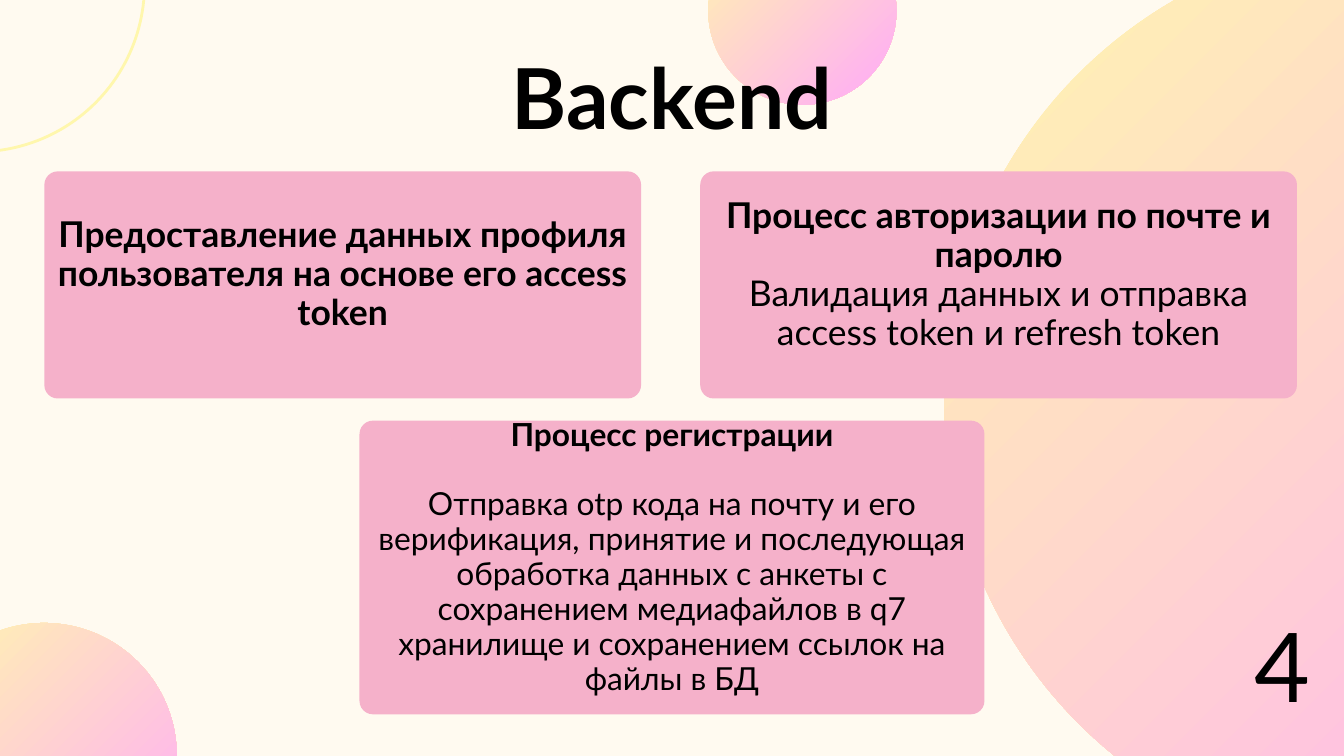
from pptx import Presentation
from pptx.dml.color import RGBColor
from pptx.enum.shapes import MSO_SHAPE
from pptx.enum.text import MSO_ANCHOR, MSO_AUTO_SIZE, PP_ALIGN
from pptx.util import Inches, Pt

COLORS = {
    "background": "FFFAF0",
    "card": "F5B1CA",
    "text": "000000",
    "yellow": "FFF7AD",
    "pink": "FFA9F9",
}
FONT = "Lato"
CARD_RADIUS = 0.2
CARD_TEXT_RISE = 0.31  # text area starts this far above its card


def color(name):
    return RGBColor.from_string(COLORS[name])


def add_circle(slide, left, top, diameter):
    circle = slide.shapes.add_shape(
        MSO_SHAPE.OVAL, Inches(left), Inches(top), Inches(diameter), Inches(diameter)
    )
    circle.shadow.inherit = False
    return circle


def add_gradient_circle(slide, left, top, diameter):
    """Add a circle that runs from yellow at top left to pink at bottom right."""
    circle = add_circle(slide, left, top, diameter)
    circle.line.fill.background()
    circle.fill.gradient()
    circle.fill.gradient_angle = 315
    for stop, name, position in zip(circle.fill.gradient_stops, ("yellow", "pink"), (0, 1)):
        stop.color.rgb = color(name)
        stop.position = position


def add_ring(slide, left, top, diameter):
    ring = add_circle(slide, left, top, diameter)
    ring.fill.background()
    ring.line.color.rgb = color("yellow")
    ring.line.width = Pt(3)


def prepare_frame(shape, margin, anchor):
    frame = shape.text_frame
    frame.word_wrap = True
    frame.auto_size = MSO_AUTO_SIZE.NONE
    frame.vertical_anchor = anchor
    frame.margin_left = frame.margin_right = Inches(margin)
    frame.margin_top = frame.margin_bottom = Inches(margin)
    return frame


def format_paragraph(paragraph, size, line_spacing, bold):
    paragraph.alignment = PP_ALIGN.CENTER
    paragraph.line_spacing = Pt(line_spacing)
    for run in paragraph.runs:
        run.font.name = FONT
        run.font.size = Pt(size)
        run.font.bold = bold
        run.font.color.rgb = color("text")


def set_title(slide, text):
    title = slide.shapes.title
    title.left, title.top = Inches(0.7), Inches(0.8)
    title.width, title.height = Inches(18.6), Inches(1.72)
    frame = prepare_frame(title, 0, MSO_ANCHOR.TOP)
    frame.text = text
    format_paragraph(frame.paragraphs[0], 90, 99, True)


def add_page_number(slide, text):
    box = slide.shapes.add_textbox(Inches(18.59), Inches(8.74), Inches(1), Inches(2))
    frame = prepare_frame(box, 0, MSO_ANCHOR.TOP)
    frame.text = text
    format_paragraph(frame.paragraphs[0], 103.1, 144.3, False)


def add_card(slide, left, top, width, height, size, heading, body=None, gap=0):
    """Add a rounded card with a bold heading and, gap points below, a plain body."""
    card = slide.shapes.add_shape(
        MSO_SHAPE.ROUNDED_RECTANGLE,
        Inches(left), Inches(top), Inches(width), Inches(height),
    )
    card.adjustments[0] = CARD_RADIUS / height
    card.shadow.inherit = False
    card.fill.solid()
    card.fill.fore_color.rgb = color("card")
    card.line.fill.background()

    box = slide.shapes.add_textbox(
        Inches(left), Inches(top - CARD_TEXT_RISE),
        Inches(width), Inches(height + CARD_TEXT_RISE),
    )
    frame = prepare_frame(box, 0.06, MSO_ANCHOR.MIDDLE)
    line_spacing = size * 1.1
    frame.text = heading
    format_paragraph(frame.paragraphs[0], size, line_spacing, True)
    if body:
        paragraph = frame.add_paragraph()
        paragraph.text = body
        paragraph.space_before = Pt(gap)
        format_paragraph(paragraph, size, line_spacing, False)


def main():
    presentation = Presentation()
    presentation.slide_width = Inches(20)
    presentation.slide_height = Inches(11.25)
    title_only = presentation.slide_layouts[5]
    slide = presentation.slides.add_slide(title_only)
    slide.background.fill.solid()
    slide.background.fill.fore_color.rgb = color("background")

    add_gradient_circle(slide, 14.05, -0.91, 13.68)
    add_gradient_circle(slide, 10.54, -1.24, 2.8)
    add_gradient_circle(slide, -1.32, 9.27, 3.95)
    add_ring(slide, -2.83, -2.72, 4.98)

    # Bring the title in front of the decoration
    slide.shapes._spTree.append(slide.shapes.title._element)
    set_title(slide, "Backend")
    add_page_number(slide, "4")

    add_card(
        slide, 10.42, 2.55, 8.88, 3.38, 38,
        "Процесс авторизации по почте и паролю",
        "Валидация данных и отправка access token и refresh token",
    )
    add_card(
        slide, 0.66, 2.55, 8.88, 3.38, 38,
        "Предоставление данных профиля пользователя на основе его access token",
    )
    add_card(
        slide, 5.35, 6.26, 9.3, 4.37, 34,
        "Процесс регистрации",
        "Отправка otp кода на почту и его верификация, принятие и последующая "
        "обработка данных с анкеты с сохранением медиафайлов в q7 хранилище "
        "и сохранением ссылок на файлы в БД",
        gap=37.4,
    )
    presentation.save("out.pptx")


if __name__ == "__main__":
    main()
